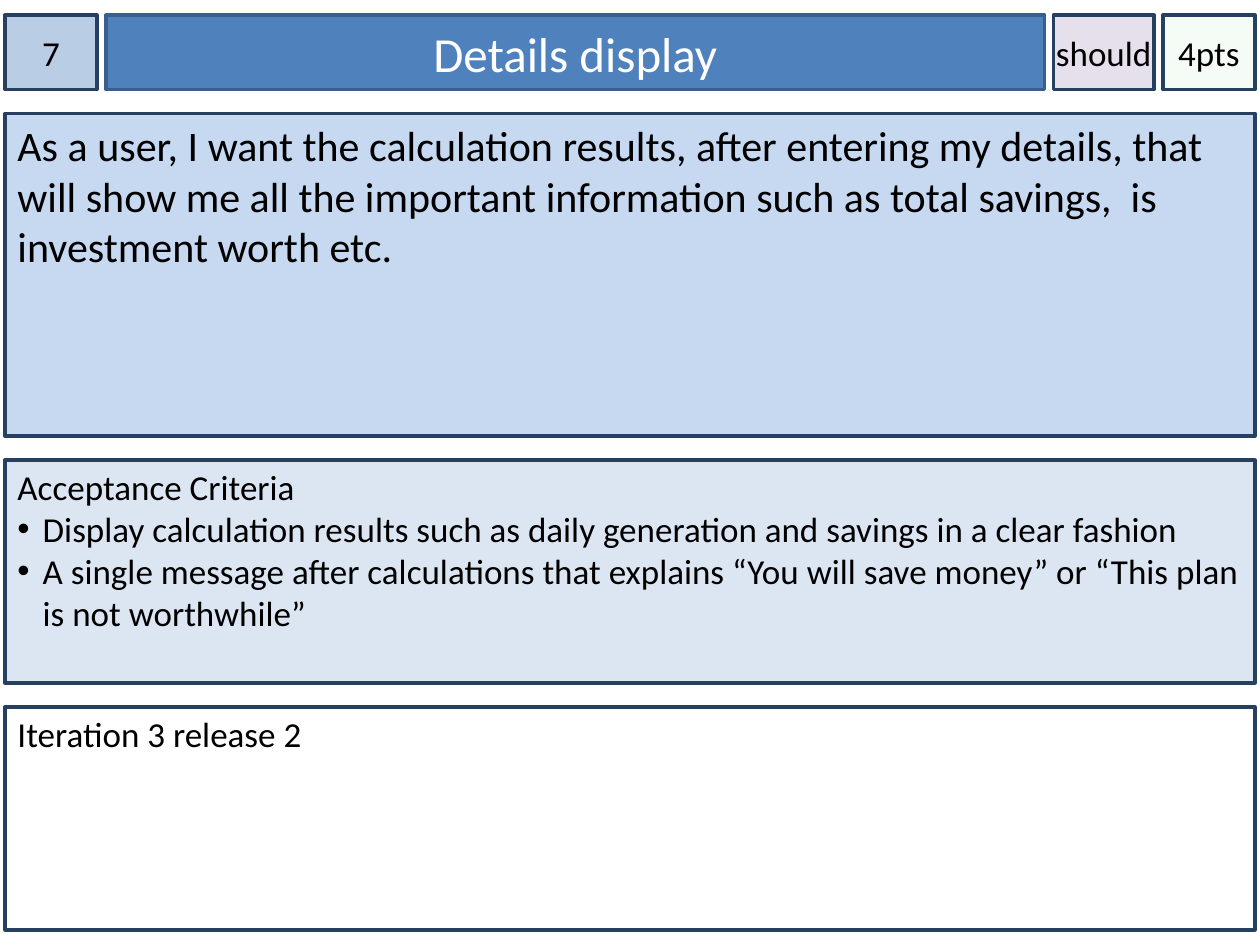
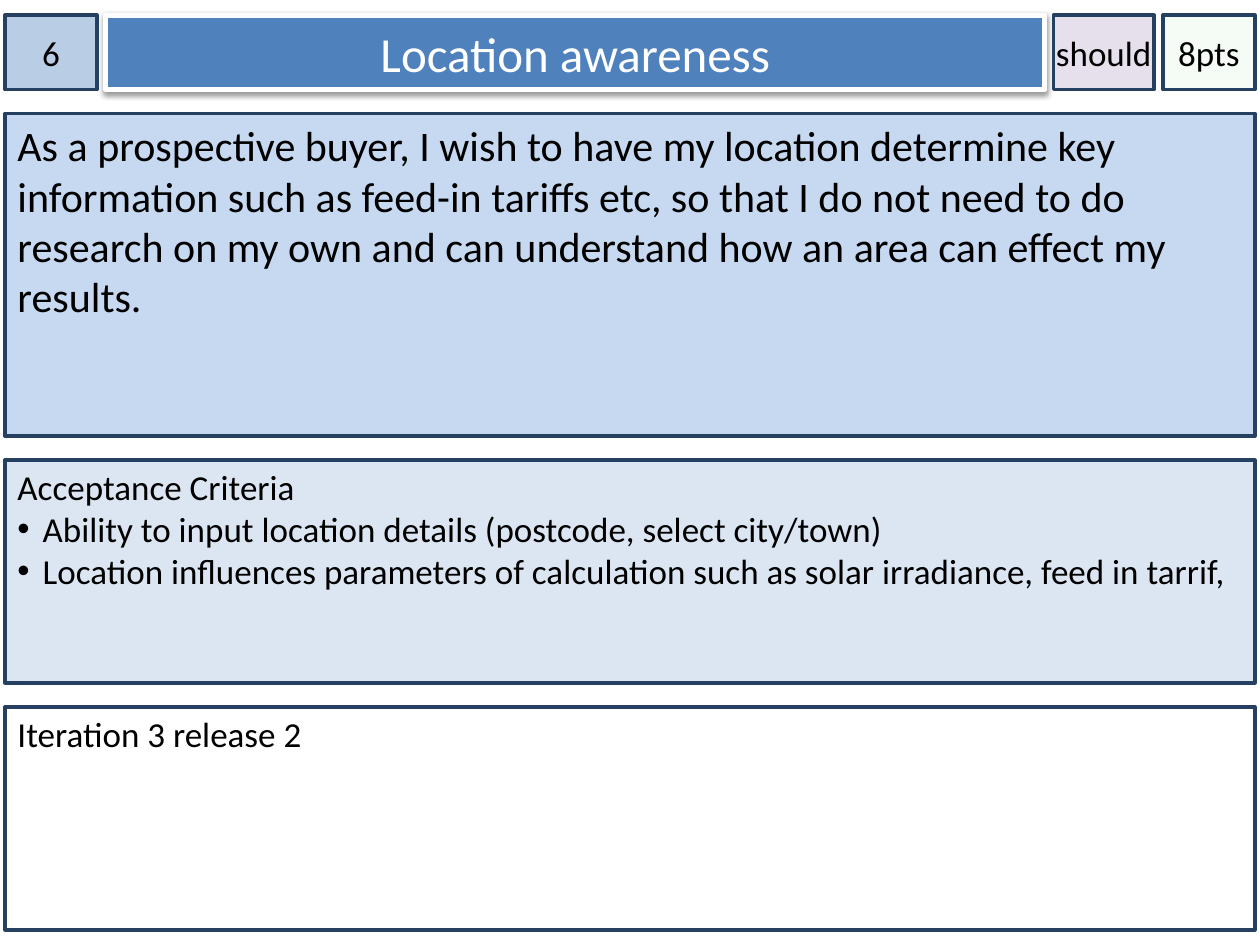
from dataclasses import dataclass
from lxml.etree import SubElement
from pptx import Presentation
from pptx.dml.color import RGBColor as RGB
from pptx.enum.shapes import MSO_SHAPE as Shape
from pptx.enum.text import MSO_ANCHOR as Anchor, PP_ALIGN as Align
from pptx.oxml.ns import qn
from pptx.util import Pt

CARDS = [
    {
        "id": "7",
        "title": "Details display",
        "rank": "should",
        "cost": "4pts",
        "story": "As a user, I want the calculation results, after entering my details, "
                 "that will show me all the important information such as total savings,  "
                 "is investment worth etc.",
        "tests": [
            "Display calculation results such as daily generation and savings in a clear fashion",
            "A single message after calculations that explains “You will save money” "
            "or “This plan is not worthwhile”",
        ],
        "plan": "Iteration 3 release 2",
        "raised": False,
    },
    {
        "id": "6",
        "title": "Location awareness",
        "rank": "should",
        "cost": "8pts",
        "story": "As a prospective buyer, I wish to have my location determine key information "
                 "such as feed-in tariffs etc, so that I do not need to do research on my own "
                 "and can understand how an area can effect my results.",
        "tests": [
            "Ability to input location details (postcode, select city/town)",
            "Location influences parameters of calculation such as solar irradiance, "
            "feed in tarrif,",
        ],
        "plan": "Iteration 3 release 2",
        "raised": True,
    },
]


@dataclass(frozen=True)
class Theme:
    font: str = "Calibri"
    head: int = 28
    lead: int = 24
    body: int = 20
    ink: str = "000000"
    white: str = "FFFFFF"
    edge: str = "254061"
    rim: str = "3A5F8C"
    title: str = "4F81BD"
    id: str = "B9CDE5"
    rank: str = "E6E0EC"
    cost: str = "CCF0CD"
    story: str = "C6D9F1"
    tests: str = "DCE6F2"


THEME = Theme()
LEFT, TOP = 2.9, 8.7
COL_GAP, ROW_GAP = 5, 13.7
COLS = {"id": 52.6, "title": 536.4, "rank": 57.6, "cost": 52.6}
ROWS = {"head": 42.5, "story": 184.3, "tests": 127.4, "plan": 127.4}
FULL = sum(COLS.values()) + COL_GAP * (len(COLS) - 1)
INDENT = 14.4


def spread(sizes, start, gap):
    """Map each name to its (start, size) along one axis."""
    spans = {}
    for name, size in sizes.items():
        spans[name] = (start, size)
        start += size + gap
    return spans


ACROSS = spread(COLS, LEFT, COL_GAP)
DOWN = spread(ROWS, TOP, ROW_GAP)


def add_box(slide, col, row, lines, fill, size=THEME.body, ink=THEME.ink,
            edge=THEME.edge, weight=2, pad=(7.2, 3.6)):
    """Draw a panel; boxes in the head row get centred text."""
    x, wide = ACROSS[col] if col else (LEFT, FULL)
    y, high = DOWN[row]
    box = slide.shapes.add_shape(Shape.RECTANGLE, Pt(x), Pt(y), Pt(wide), Pt(high))
    box.shadow.inherit = False
    box.fill.solid()
    box.fill.fore_color.rgb = RGB.from_string(fill)
    box.line.color.rgb = RGB.from_string(edge)
    box.line.width = Pt(weight)
    frame = box.text_frame
    frame.text = "\n".join(lines)
    frame.word_wrap = True
    frame.margin_left = frame.margin_right = Pt(pad[0])
    frame.margin_top, frame.margin_bottom = Pt(pad[1]), Pt(3.6)
    frame.vertical_anchor = Anchor.MIDDLE if col else Anchor.TOP
    for para in frame.paragraphs:
        para.alignment = Align.CENTER if col else Align.LEFT
        for run in para.runs:
            run.font.name = THEME.font
            run.font.size = Pt(size)
            run.font.color.rgb = RGB.from_string(ink)
    return box


def add_bullet(para):
    props = para._p.get_or_add_pPr()
    props.set("marL", str(Pt(INDENT)))
    props.set("indent", str(-Pt(INDENT)))
    SubElement(props, qn("a:buFont"), typeface="Arial")
    SubElement(props, qn("a:buChar"), char="•")


def set_alpha(color, share):
    SubElement(color, qn("a:alpha"), val=str(share * 1000))


def raise_box(box):
    """Cast a soft shadow straight down."""
    effects = box._element.spPr.find(qn("a:effectLst"))
    cast = SubElement(effects, qn("a:outerShdw"), blurRad=str(Pt(3.1)),
                      dist=str(Pt(1.6)), dir="5400000", rotWithShape="0")
    set_alpha(SubElement(cast, qn("a:srgbClr"), val=THEME.ink), 38)


def add_card(deck, card):
    slide = deck.slides.add_slide(deck.slide_layouts[6])
    tag = {"pad": (0, 3.6)}
    note = {"pad": (7.2, 2.9)}
    add_box(slide, "id", "head", [card["id"]], THEME.id, **tag)

    edge, weight = (THEME.white, 3) if card["raised"] else (THEME.rim, 2)
    title = add_box(slide, "title", "head", [card["title"]], THEME.title,
                    THEME.head, THEME.white, edge, weight)
    if card["raised"]:
        raise_box(title)

    add_box(slide, None, "story", [card["story"]], THEME.story, THEME.lead)
    tests = add_box(slide, None, "tests", ["Acceptance Criteria", *card["tests"]],
                    THEME.tests, **note)
    for para in tests.text_frame.paragraphs[1:]:
        add_bullet(para)

    cost = add_box(slide, "cost", "head", [card["cost"]], THEME.cost, **tag)
    set_alpha(cost._element.spPr.find(qn("a:solidFill"))[0], 20)
    rank = add_box(slide, "rank", "head", [card["rank"]], THEME.rank, **tag)
    rank.text_frame.word_wrap = False
    add_box(slide, None, "plan", [card["plan"]], THEME.white, **note)


def main():
    deck = Presentation()
    deck.slide_width, deck.slide_height = Pt(720), Pt(540)
    for card in CARDS:
        add_card(deck, card)
    deck.save("out.pptx")


if __name__ == "__main__":
    main()
